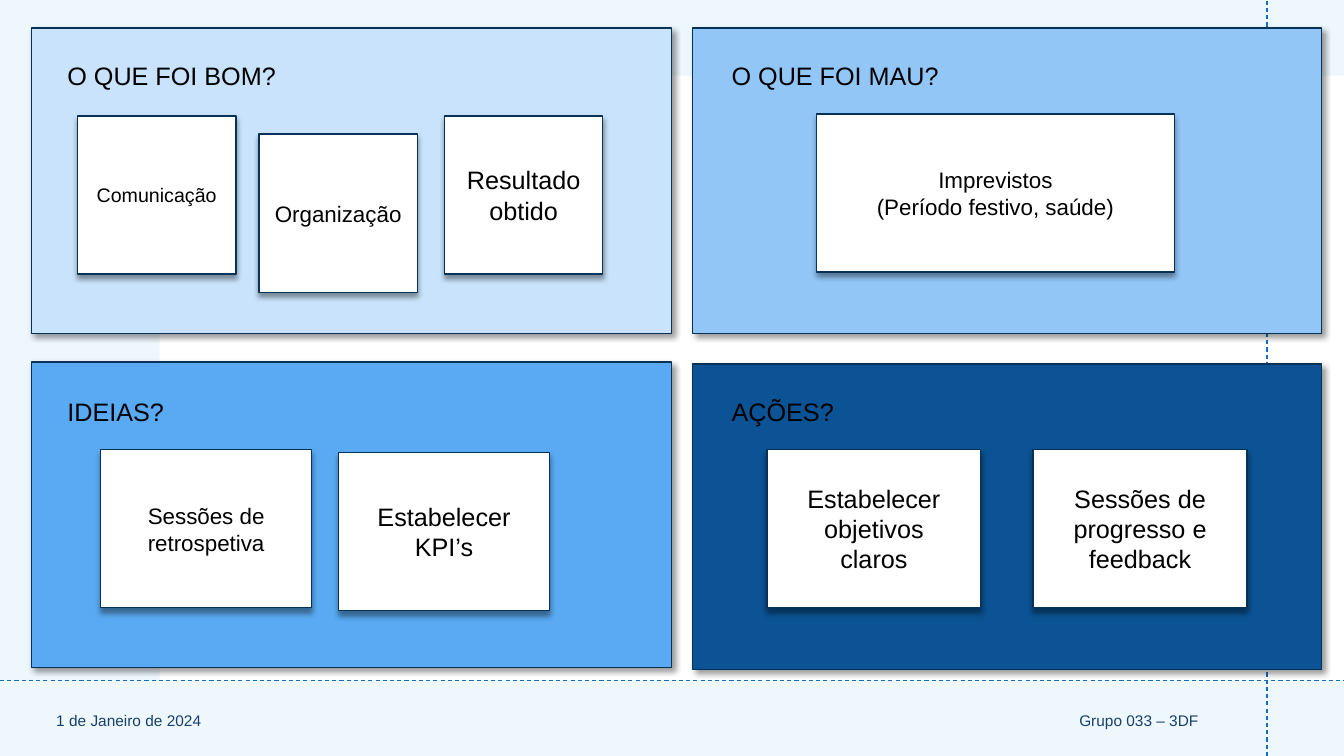
from lxml.etree import SubElement
from pptx import Presentation
from pptx.dml.color import RGBColor
from pptx.enum.dml import MSO_LINE
from pptx.enum.shapes import MSO_CONNECTOR, MSO_SHAPE
from pptx.enum.text import MSO_ANCHOR, PP_ALIGN
from pptx.oxml.ns import qn
from pptx.util import Pt

COLORS = {
    "backdrop": "DBEFF9",
    "white": "FFFFFF",
    "guide": "0F6FC6",
    "footer": "17406D",
    "outline": "073157",
    "text": "000000",
    "good": "C8E3FB",
    "bad": "91C6F7",
    "ideas": "59AAF2",
    "actions": "0B5394",
}
FONT = "Arial"

PANEL_HEIGHT = 218.16
NOTE_HEIGHT = 113.04
LEFT_COLUMN = (22.32, 457.2, 41.04)  # panel left, panel width, title left
RIGHT_COLUMN = (494.64, 449.28, 515.52)
UPPER_TITLE, LOWER_TITLE = 39.6, 279.36

# column, panel top, title top, colour, title,
# notes: left, top, width, font size, paragraphs
PANELS = [
    (LEFT_COLUMN, 20.16, UPPER_TITLE, "good", "O QUE FOI BOM?", [
        (55.44, 82.8, 113.04, 14, ["Comunicação"]),
        (185.04, 95.76, 113.04, 16, ["Organização"]),
        (317.52, 82.8, 113.04, 18, ["Resultado", "obtido"]),
    ]),
    (RIGHT_COLUMN, 20.16, UPPER_TITLE, "bad", "O QUE FOI MAU?", [
        (583.2, 81.36, 255.6, 16, ["Imprevistos", "(Período festivo, saúde)"]),
    ]),
    (LEFT_COLUMN, 258.48, LOWER_TITLE, "ideas", "IDEIAS?", [
        (72, 321.12, 150.48, 16, ["Sessões de retrospetiva"]),
        (241.92, 323.28, 150.48, 18, ["Estabelecer KPI’s"]),
    ]),
    (RIGHT_COLUMN, 259.92, LOWER_TITLE, "actions", "AÇÕES?", [
        (547.92, 321.12, 152.64, 18, ["Estabelecer", "objetivos", "claros"]),
        (738, 321.12, 152.64, 18, ["Sessões de progresso e feedback"]),
    ]),
]


def color(name):
    return RGBColor.from_string(COLORS[name])


def add_rectangle(slide, left, top, width, height, fill):
    shape = slide.shapes.add_shape(
        MSO_SHAPE.RECTANGLE, Pt(left), Pt(top), Pt(width), Pt(height))
    shape.shadow.inherit = False
    shape.fill.solid()
    shape.fill.fore_color.rgb = color(fill)
    shape.line.fill.background()
    return shape


def set_opacity(shape, percent):
    fill_color = shape.fill._xPr.find(qn("a:solidFill"))[0]
    SubElement(fill_color, qn("a:alpha"), val=str(percent * 1000))


def add_card(slide, left, top, width, height, fill, shadow_angle):
    """Add an outlined rectangle with a soft shadow."""
    card = add_rectangle(slide, left, top, width, height, fill)
    card.line.color.rgb = color("outline")
    card.line.width = Pt(1)
    effects = card._element.spPr.find(qn("a:effectLst"))
    shadow = SubElement(
        effects, qn("a:outerShdw"), blurRad=str(Pt(4)), dist=str(Pt(3)),
        dir=str(shadow_angle * 60000), algn="tl", rotWithShape="0")
    shadow_color = SubElement(shadow, qn("a:srgbClr"), val=COLORS["text"])
    SubElement(shadow_color, qn("a:alpha"), val="40000")
    return card


def write_text(shape, lines, size, font_color, alignment, anchor):
    frame = shape.text_frame
    frame.word_wrap = True
    frame.vertical_anchor = anchor
    frame.text = "\n".join(lines)
    for paragraph in frame.paragraphs:
        paragraph.alignment = alignment
        paragraph.font.name = FONT
        paragraph.font.size = Pt(size)
        paragraph.font.color.rgb = color(font_color)


def add_label(slide, left, top, width, height, text, size, font_color,
              alignment=PP_ALIGN.LEFT, anchor=MSO_ANCHOR.TOP):
    box = slide.shapes.add_textbox(Pt(left), Pt(top), Pt(width), Pt(height))
    write_text(box, [text], size, font_color, alignment, anchor)


def add_guide(slide, x1, y1, x2, y2):
    guide = slide.shapes.add_connector(
        MSO_CONNECTOR.STRAIGHT, Pt(x1), Pt(y1), Pt(x2), Pt(y2))
    guide.line.color.rgb = color("guide")
    guide.line.width = Pt(0.75)
    guide.line.dash_style = MSO_LINE.DASH
    SubElement(guide._element.spPr, qn("a:effectLst"))


def add_background(slide):
    backdrop = add_rectangle(slide, 0, 0, 960, 540, "backdrop")
    set_opacity(backdrop, 45)
    add_rectangle(slide, 114, 54, 846, 432, "white")
    add_guide(slide, 905.04, 540, 905.04, 0)
    add_guide(slide, 0, 486, 960, 486)


def add_footer(slide):
    add_label(slide, 33.12, 489.6, 216, 50.4, "1 de Janeiro de 2024", 11,
              "footer", anchor=MSO_ANCHOR.MIDDLE)
    add_label(slide, 296.64, 489.6, 566.64, 50.4, "Grupo 033 – 3DF", 11,
              "footer", PP_ALIGN.RIGHT, MSO_ANCHOR.MIDDLE)


def add_panel(slide, column, top, title_top, fill, title, notes):
    left, width, title_left = column
    add_card(slide, left, top, width, PANEL_HEIGHT, fill, 45)
    add_label(slide, title_left, title_top, 255.6, 28.8, title, 18, "text")
    for note_left, note_top, note_width, size, lines in notes:
        note = add_card(slide, note_left, note_top, note_width, NOTE_HEIGHT,
                        "white", 90)
        write_text(note, lines, size, "text", PP_ALIGN.CENTER,
                   MSO_ANCHOR.MIDDLE)


def main():
    presentation = Presentation()
    presentation.slide_width = Pt(960)
    presentation.slide_height = Pt(540)
    slide = presentation.slides.add_slide(presentation.slide_layouts[6])
    add_background(slide)
    add_footer(slide)
    for panel in PANELS:
        add_panel(slide, *panel)
    presentation.save("out.pptx")


if __name__ == "__main__":
    main()
